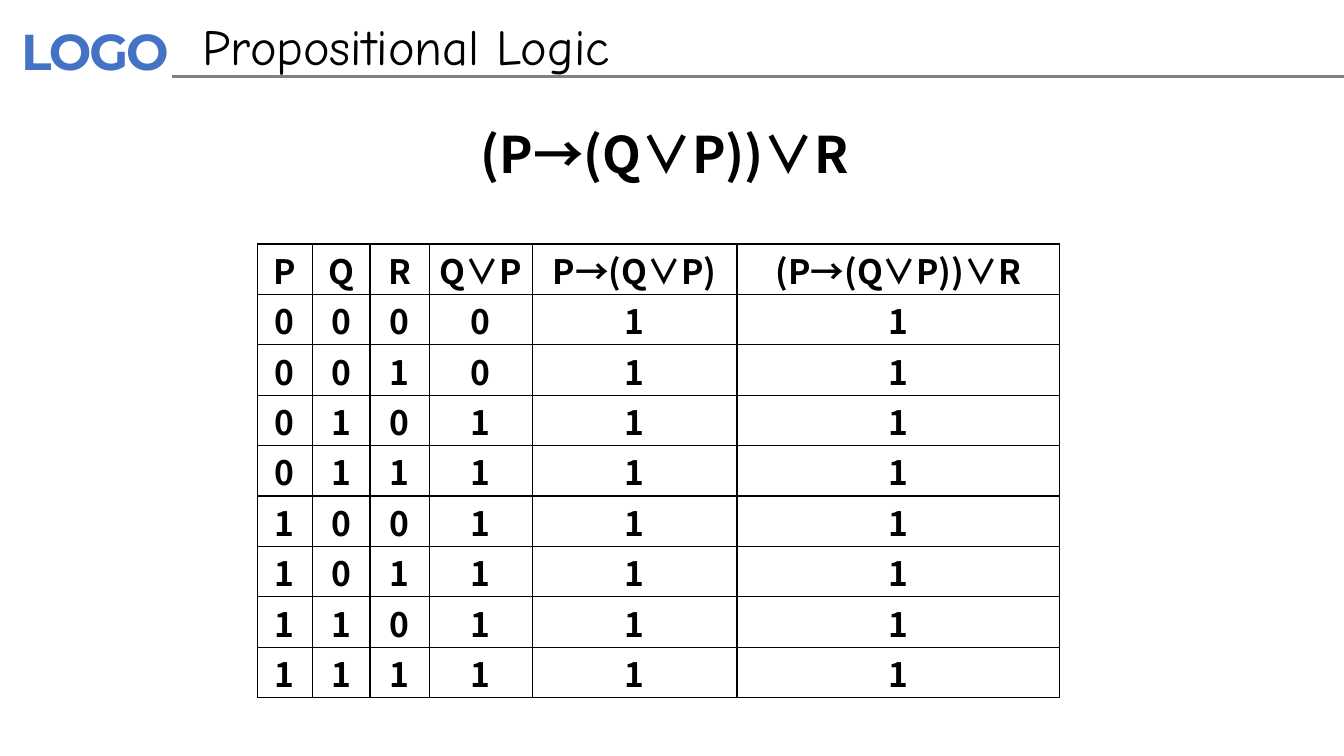
from lxml import etree
from pptx import Presentation
from pptx.dml.color import RGBColor
from pptx.enum import shapes, text
from pptx.oxml import ns
from pptx.util import Inches, Pt

BLACK = RGBColor(0x00, 0x00, 0x00)
BLUE = RGBColor(0x44, 0x72, 0xC4)
GREY = RGBColor(0x80, 0x80, 0x80)
MATH_FONT = "Noto Sans CJK SC"

TITLE = "Propositional Logic"
FORMULA = "(P→(Q∨P))∨R"
HEADINGS = ["P", "Q", "R", "Q∨P", "P→(Q∨P)", FORMULA]
TRUTH_VALUES = ["000011", "001011", "010111", "011111",
                "100111", "101111", "110111", "111111"]
COLUMN_WIDTHS = [0.55, 0.57, 0.59, 1.02, 2.03, 3.2]
ROW_HEIGHT = 0.5


def write(frame, words, size, font, color=BLACK, bold=False,
          align=text.PP_ALIGN.LEFT, line_spacing=1.0, tracking=None):
    paragraph = frame.paragraphs[0]
    paragraph.alignment = align
    paragraph.line_spacing = line_spacing
    run = paragraph.add_run()
    run.text = words
    run.font.size = Pt(size)
    run.font.name = font
    run.font.bold = bold
    run.font.color.rgb = color
    properties = run.font._element
    etree.SubElement(properties, ns.qn("a:ea"), typeface=font)
    if tracking is not None:
        properties.set("spc", str(int(tracking * 100)))


def add_text_box(slide, left, top, width, height, words, **style):
    box = slide.shapes.add_textbox(
        Inches(left), Inches(top), Inches(width), Inches(height))
    box.text_frame.word_wrap = True
    write(box.text_frame, words, **style)
    return box


def add_borders(cell):
    properties = cell._tc.get_or_add_tcPr()
    for position, side in enumerate(("lnL", "lnR", "lnT", "lnB")):
        line = etree.Element(ns.qn("a:" + side), w=str(Pt(1)))
        fill = etree.SubElement(line, ns.qn("a:solidFill"))
        etree.SubElement(fill, ns.qn("a:srgbClr"), val=str(BLACK))
        properties.insert(position, line)


def add_header(slide):
    logo = add_text_box(slide, 0.08, 0.13, 1.86, 0.74, "LOGO", size=36,
                        font="Montserrat", color=BLUE, bold=True, tracking=-1.5)
    frame = logo.text_frame
    frame.margin_left = frame.margin_right = Inches(0.13)
    frame.margin_top = frame.margin_bottom = Inches(0.07)

    rule = slide.shapes.add_connector(
        shapes.MSO_CONNECTOR.STRAIGHT,
        Inches(1.71), Inches(0.76), Inches(13.33), Inches(0.76))
    rule.line.color.rgb = GREY
    rule.line.width = Pt(2)
    etree.SubElement(rule._element.spPr, ns.qn("a:effectLst"))

    title = slide.shapes.title
    title.left, title.top = Inches(1.91), Inches(0.1)
    title.width, title.height = Inches(6.3), Inches(0.71)
    title.text_frame.auto_size = text.MSO_AUTO_SIZE.NONE
    title.text_frame.vertical_anchor = text.MSO_ANCHOR.TOP
    write(title.text_frame, TITLE, size=36, font="Comic Neue")


def add_truth_table(slide):
    rows = [HEADINGS, *TRUTH_VALUES]
    table = slide.shapes.add_table(
        len(rows), len(HEADINGS), Inches(2.55), Inches(2.42),
        Inches(sum(COLUMN_WIDTHS)), Inches(ROW_HEIGHT * len(rows))).table
    for column, width in zip(table.columns, COLUMN_WIDTHS):
        column.width = Inches(width)
    for row_index, values in enumerate(rows):
        table.rows[row_index].height = Inches(ROW_HEIGHT)
        for column_index, value in enumerate(values):
            cell = table.cell(row_index, column_index)
            cell.fill.background()
            cell.vertical_anchor = text.MSO_ANCHOR.MIDDLE
            cell.margin_left = cell.margin_right = Inches(0.05)
            cell.margin_top, cell.margin_bottom = Inches(0.01), 0
            write(cell.text_frame, value, size=24, font=MATH_FONT, bold=True,
                  align=text.PP_ALIGN.CENTER)
            add_borders(cell)


def main():
    presentation = Presentation()
    presentation.slide_width = Inches(13.33)
    presentation.slide_height = Inches(7.5)
    slide = presentation.slides.add_slide(presentation.slide_layouts[5])
    add_header(slide)
    add_truth_table(slide)
    add_text_box(slide, 4.67, 1.24, 4.16, 1.31, FORMULA, size=36,
                 font=MATH_FONT, bold=True, line_spacing=0.9)
    presentation.save("out.pptx")


if __name__ == "__main__":
    main()
